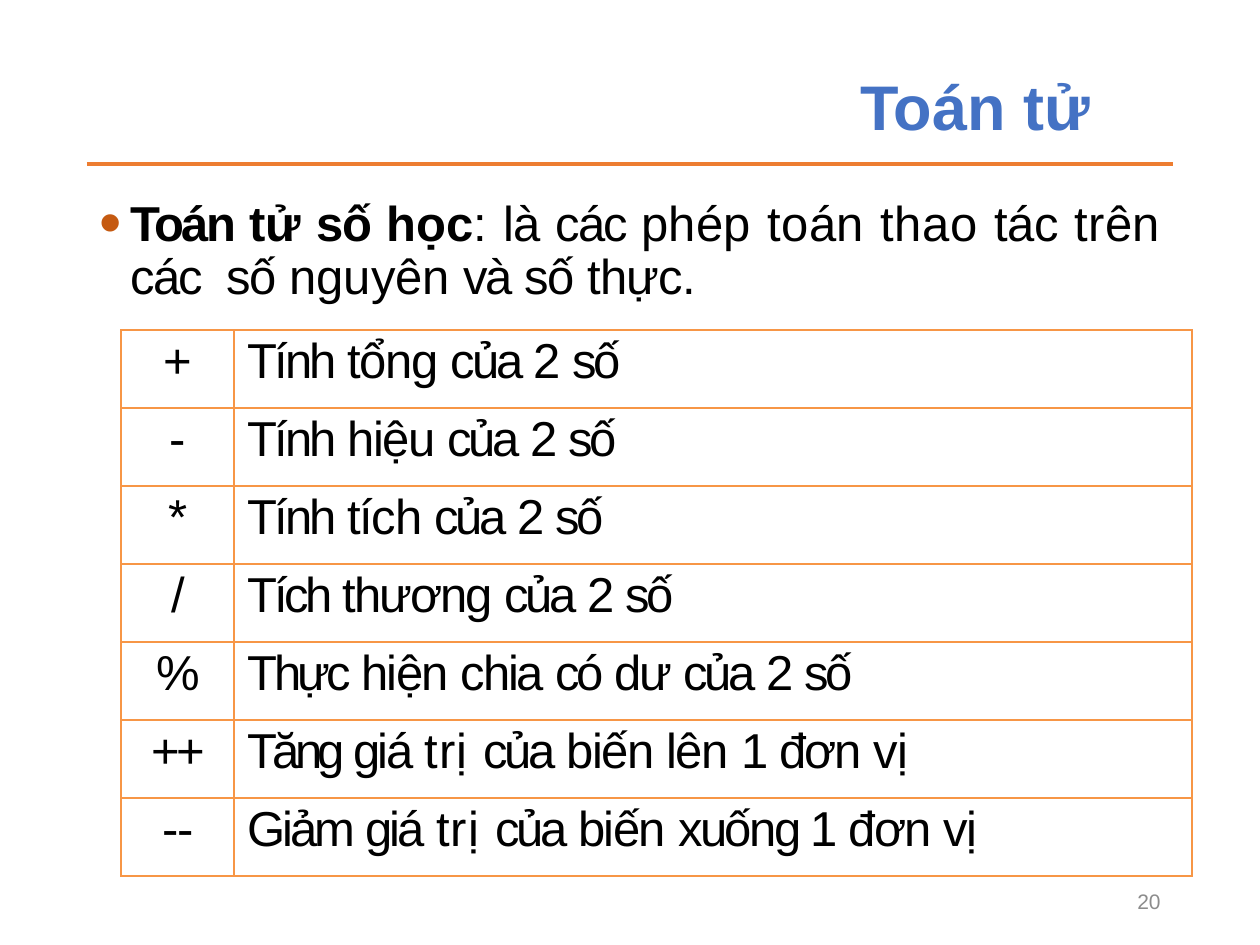
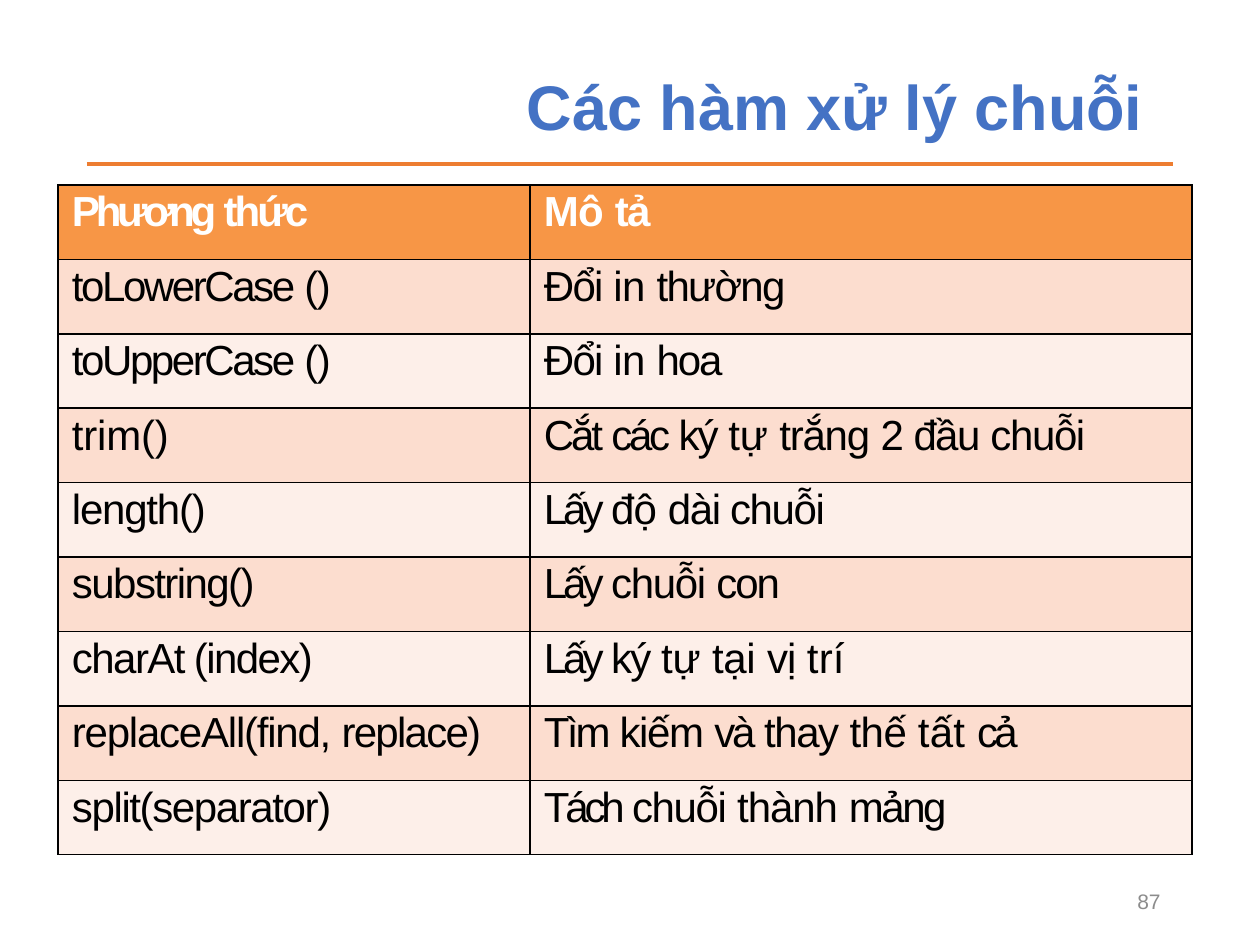
from lxml import etree
from pptx import Presentation
from pptx import util as u
from pptx.dml.color import RGBColor
from pptx.enum import shapes, text
from pptx.oxml import ns

FONT = "Arial"
BLUE, ORANGE, RUST, GREY = "4472C4", "ED7D31", "C55A11", "8C8C8C"
BLACK, WHITE, AMBER = "000000", "FFFFFF", "F79646"
PEACH, PALE_PEACH = "FCDDCF", "FDEFE9"

# Every text run is (wording, letter spacing in points).
DEFINITION_TERM = [("Toán ", -1.5), ("tử ", -0.3), ("số ", -0.7), ("học", 0)]
DEFINITION_TEXT = [
    (": ", 0), ("là ", -0.5), ("các ", -1.2), ("phép toán ", 0.2),
    ("thao ", 0.3), ("tác ", -0.2), ("trên ", 0.2), ("các", -1.1),
    (" ", 5.6), ("số ", -0.7), ("nguyên ", 0), ("và ", -1.2),
    ("số ", -0.7), ("thực.", -0.4),
]

OF_TWO_NUMBERS = [("của ", -1.8), ("2 ", -1.4), ("số", -2)]
VALUE_OF_VARIABLE = [("giá ", -1.5), ("trị ", 0.7), ("của ", -1.8), ("biến ", -0.9)]
UNIT = [("đơn ", -1.1), ("vị", -0.7)]
OPERATORS = [
    ([("+", 0)], [("Tính ", -1.7), ("tổng ", -0.8)] + OF_TWO_NUMBERS),
    ([("-", 0)], [("Tính ", -1.7), ("hiệu ", -0.9)] + OF_TWO_NUMBERS),
    ([("*", 0)], [("Tính ", -1.7), ("tích ", -0.8)] + OF_TWO_NUMBERS),
    ([("/", 0)], [("Tích ", -2), ("thương ", -1.1)] + OF_TWO_NUMBERS),
    ([("%", 0)], [("Thực ", -2.1), ("hiện ", -0.9), ("chia ", -1.3),
                  ("có ", -1.6), ("dư ", -1.4)] + OF_TWO_NUMBERS),
    ([("++", -2.2)], [("Tăng ", -2.8)] + VALUE_OF_VARIABLE
     + [("lên ", -0.8), ("1 ", -1.4)] + UNIT),
    ([("--", -0.8)], [("Giảm ", -1.9)] + VALUE_OF_VARIABLE
     + [("xuống 1 ", -1.4)] + UNIT),
]

STRING_METHODS = [
    ([("Phương ", -2.4), ("thức", -1.7)], [("Mô ", -0.4), ("tả", -0.9)]),
    ([("toLowerCase ", -1.4), ("()", -0.8)],
     [("Đổi ", -1), ("in ", -0.3), ("thường", -1)]),
    ([("toUpperCase ", -1.4), ("()", -0.8)],
     [("Đổi ", -1), ("in ", -0.3), ("hoa", -1.2)]),
    ([("trim()", -0.1)],
     [("Cắt ", -1.8), ("các ", -1.9), ("ký ", -1.1), ("tự ", -0.1),
      ("trắng ", -0.7), ("2 ", -1.2), ("đầu ", -0.9), ("chuỗi", -0.8)]),
    ([("length()", -0.7)],
     [("Lấy ", -2.3), ("độ ", -0.5), ("dài chuỗi", -0.8)]),
    ([("substring()", -0.9)],
     [("Lấy ", -2.3), ("chuỗi ", -0.8), ("con", -1.2)]),
    ([("charAt (index)", -0.9)],
     [("Lấy ", -2.3), ("ký ", -1.1), ("tự ", -0.1), ("tại ", -0.2),
      ("vị ", -0.6), ("trí", 0.1)]),
    ([("replaceAll(find, ", -0.7), ("replace)", -1)],
     [("Tìm ", -1.6), ("kiếm ", -0.8), ("và ", -1.8), ("thay ", -0.8),
      ("thế ", -0.3), ("tất ", 0.1), ("cả", -2.1)]),
    ([("split(separator)", -0.8)],
     [("Tách ", -2.4), ("chuỗi ", -0.8), ("thành ", -0.6), ("mảng", -1.4)]),
]


def px(length):
    return u.Emu(round(length * 914400 / 126))


def color(hex_string):
    return RGBColor.from_string(hex_string)


def add_element(parent, tag, **attributes):
    return etree.SubElement(parent, ns.qn(tag), attributes)


def add_runs(paragraph, runs, size, hex_color, bold=False):
    for wording, spacing in runs:
        run = paragraph.add_run()
        run.text = wording
        run.font.name = FONT
        run.font.size = u.Pt(size)
        run.font.bold = bold
        run.font.color.rgb = color(hex_color)
        if spacing:
            run.font._element.set("spc", str(round(spacing * 100)))


def add_text_box(slide, left, top, width, height, anchor, alignment):
    """Add a wrapping text box; return its frame and first paragraph."""
    frame = slide.shapes.add_textbox(px(left), px(top), px(width), px(height)).text_frame
    frame.word_wrap = True
    frame.vertical_anchor = anchor
    paragraph = frame.paragraphs[0]
    paragraph.alignment = alignment
    return frame, paragraph


def add_page(presentation, title, title_inset, number):
    """Add a slide with its title, rule and slide number."""
    slide = presentation.slides.add_slide(presentation.slide_layouts[6])
    rule = slide.shapes.add_connector(
        shapes.MSO_CONNECTOR.STRAIGHT, px(87), px(164), px(1173), px(164))
    rule.line.color.rgb = color(ORANGE)
    rule.line.width = u.Pt(2.75)
    add_element(rule._element.spPr, "a:effectLst")

    middle, right = text.MSO_ANCHOR.MIDDLE, text.PP_ALIGN.RIGHT
    frame, paragraph = add_text_box(slide, 87, 67, 1086, 86, middle, right)
    frame.margin_right = px(title_inset)
    paragraph.line_spacing = 0.9
    add_runs(paragraph, [(title, 0)], 36, BLUE, bold=True)

    frame, paragraph = add_text_box(slide, 890, 876, 283, 50, middle, right)
    add_runs(paragraph, [(str(number), 0)], 12, GREY)
    return slide


def add_definition(slide):
    frame, paragraph = add_text_box(
        slide, 87, 193, 1086, 707, text.MSO_ANCHOR.TOP, text.PP_ALIGN.JUSTIFY)
    paragraph.line_spacing = 0.9
    properties = paragraph._p.get_or_add_pPr()
    properties.set("marL", str(u.Inches(0.25)))
    properties.set("indent", str(-u.Inches(0.25)))
    bullet_color = add_element(properties, "a:buClr")
    add_element(bullet_color, "a:srgbClr", val=RUST)
    add_element(properties, "a:buSzPct", val="130000")
    add_element(properties, "a:buFont", typeface=FONT)
    add_element(properties, "a:buChar", char="•")
    add_runs(paragraph, DEFINITION_TERM, 28, BLACK, bold=True)
    add_runs(paragraph, DEFINITION_TEXT, 28, BLACK)


def set_borders(cell, hex_color):
    properties = cell._tc.get_or_add_tcPr()
    for position, side in enumerate(("a:lnL", "a:lnR", "a:lnT", "a:lnB")):
        line = etree.Element(ns.qn(side), w=str(u.Pt(1)))
        fill = add_element(line, "a:solidFill")
        add_element(fill, "a:srgbClr", val=hex_color)
        properties.insert(position, line)


def add_grid(slide, rows, left, top, widths, height, size, border,
             header=False, center_first=False):
    """Add a two-column table; a header also brings alternating row fills."""
    table = slide.shapes.add_table(
        len(rows), len(widths), px(left), px(top), px(sum(widths)), px(height)).table
    table.first_row = header
    table.horz_banding = False
    for column, width in zip(table.columns, widths):
        column.width = px(width)
    for row_index, row in enumerate(rows):
        table.rows[row_index].height = px(height / len(rows))
        is_header = header and row_index == 0
        for column_index, runs in enumerate(row):
            cell = table.cell(row_index, column_index)
            centered = center_first and column_index == 0
            cell.margin_left = px(1 if centered else 14)
            cell.margin_top = px(4)
            cell.margin_right = cell.margin_bottom = 0
            if header:
                cell.fill.solid()
                band = PEACH if row_index % 2 else PALE_PEACH
                cell.fill.fore_color.rgb = color(AMBER if is_header else band)
            else:
                cell.fill.background()
            set_borders(cell, border)
            paragraph = cell.text_frame.paragraphs[0]
            paragraph.alignment = text.PP_ALIGN.CENTER if centered else text.PP_ALIGN.LEFT
            add_runs(paragraph, runs, size, WHITE if is_header else BLACK, is_header)


def main():
    presentation = Presentation()
    presentation.slide_width, presentation.slide_height = px(1260), px(945)

    operators = add_page(presentation, "Toán tử", 83, 20)
    add_definition(operators)
    add_grid(operators, OPERATORS, 121, 330, (113, 958), 546, 28, AMBER,
             center_first=True)

    methods = add_page(presentation, "Các hàm xử lý chuỗi", 30, 87)
    add_grid(methods, STRING_METHODS, 58, 185, (472, 662), 670, 24, BLACK,
             header=True)

    presentation.save("out.pptx")


if __name__ == "__main__":
    main()
